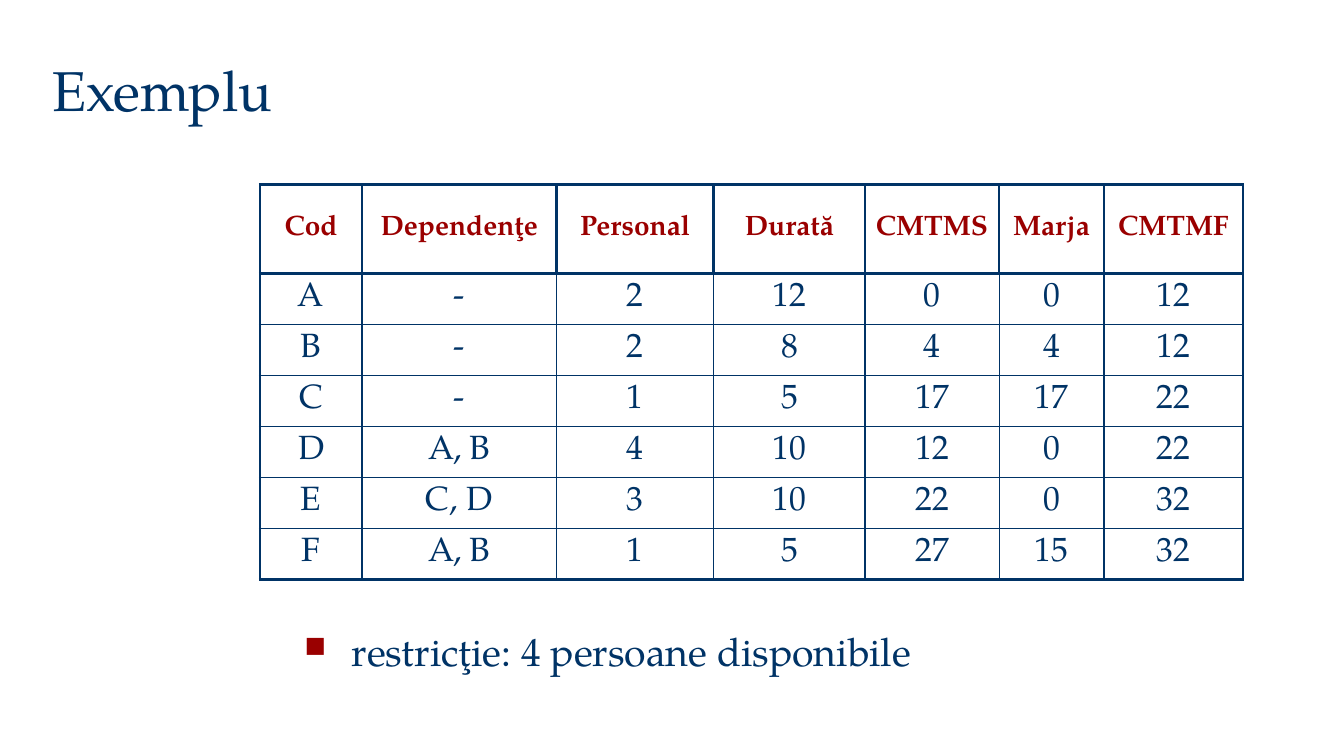
from lxml import etree
from pptx import Presentation, util as u
from pptx.dml.color import RGBColor
from pptx.enum import text
from pptx.oxml import ns

NAVY = RGBColor(0x00, 0x33, 0x66)
RED = RGBColor(0x9A, 0x00, 0x00)
WHITE = RGBColor(0xFF, 0xFF, 0xFF)
FONT = "TeX Gyre Pagella"
THIN, HEAVY = u.Pt(1), u.Pt(2.25)

COLUMN_WIDTHS = [1.01, 1.93, 1.56, 1.5, 1.33, 1.04, 1.38]
HEADER_HEIGHT, TABLE_HEIGHT = 0.88, 3.92
TASKS = [
    ["Cod", "Dependenţe", "Personal", "Durată", "CMTMS", "Marja", "CMTMF"],
    ["A", "-", "2", "12", "0", "0", "12"],
    ["B", "-", "2", "8", "4", "4", "12"],
    ["C", "-", "1", "5", "17", "17", "22"],
    ["D", "A, B", "4", "10", "12", "0", "22"],
    ["E", "C, D", "3", "10", "22", "0", "32"],
    ["F", "A, B", "1", "5", "27", "15", "32"],
]


def add_span(para, words, size, color, bold=False):
    span = para.add_run()
    span.text = words
    span.font.name = FONT
    span.font.size = u.Pt(size)
    span.font.color.rgb = color
    span.font.bold = bold


def add_border(cell, side, width):
    line = etree.SubElement(cell._tc.get_or_add_tcPr(), ns.qn("a:" + side), w=str(width))
    fill = etree.SubElement(line, ns.qn("a:solidFill"))
    etree.SubElement(fill, ns.qn("a:srgbClr"), val=str(NAVY))


deck = Presentation()
deck.slide_width, deck.slide_height = u.Inches(13.33), u.Inches(7.5)
page = deck.slides.add_slide(deck.slide_layouts[6])

# Title
box = page.shapes.add_textbox(u.Inches(0.42), u.Inches(0.5), u.Inches(11.25), u.Inches(0.77))
box.text_frame.word_wrap = True
box.text_frame.vertical_anchor = text.MSO_ANCHOR.BOTTOM
add_span(box.text_frame.paragraphs[0], "Exemplu", 40, NAVY)

# Constraint bullet
box = page.shapes.add_textbox(u.Inches(2.92), u.Inches(6.17), u.Inches(9.08), u.Inches(0.75))
box.text_frame.word_wrap = True
para = box.text_frame.paragraphs[0]
properties = para._p.get_or_add_pPr()
indent = u.Inches(0.47)
properties.set("marL", str(indent))
properties.set("indent", str(-indent))
bullet_color = etree.SubElement(properties, ns.qn("a:buClr"))
etree.SubElement(bullet_color, ns.qn("a:srgbClr"), val=str(RED))
etree.SubElement(properties, ns.qn("a:buSzPct"), val="75000")
etree.SubElement(properties, ns.qn("a:buChar"), char="■")
add_span(para, "restricţie: 4 persoane disponibile", 28, NAVY)

# Task table
last_row, last_column = len(TASKS) - 1, len(COLUMN_WIDTHS) - 1
table = page.shapes.add_table(
    len(TASKS), len(COLUMN_WIDTHS), u.Inches(2.58), u.Inches(1.83),
    u.Inches(sum(COLUMN_WIDTHS)), u.Inches(TABLE_HEIGHT)).table
for column, width in zip(table.columns, COLUMN_WIDTHS):
    column.width = u.Inches(width)
for row in table.rows:
    row.height = u.Inches((TABLE_HEIGHT - HEADER_HEIGHT) / last_row)
table.rows[0].height = u.Inches(HEADER_HEIGHT)

for r, task in enumerate(TASKS):
    header = r == 0
    for c, words in enumerate(task):
        cell = table.cell(r, c)
        # Heavy lines around the header cells and the outer frame
        heavy_sides = {
            "lnL": header or c == 0,
            "lnR": header or c == last_column,
            "lnT": r <= 1,
            "lnB": header or r == last_row,
        }
        for side, heavy in heavy_sides.items():
            add_border(cell, side, HEAVY if heavy else THIN)
        cell.fill.solid()
        cell.fill.fore_color.rgb = WHITE
        cell.vertical_anchor = text.MSO_ANCHOR.MIDDLE
        para = cell.text_frame.paragraphs[0]
        para.alignment = text.PP_ALIGN.CENTER
        add_span(para, words, 20 if header else 24, RED if header else NAVY, header)

deck.save("out.pptx")
